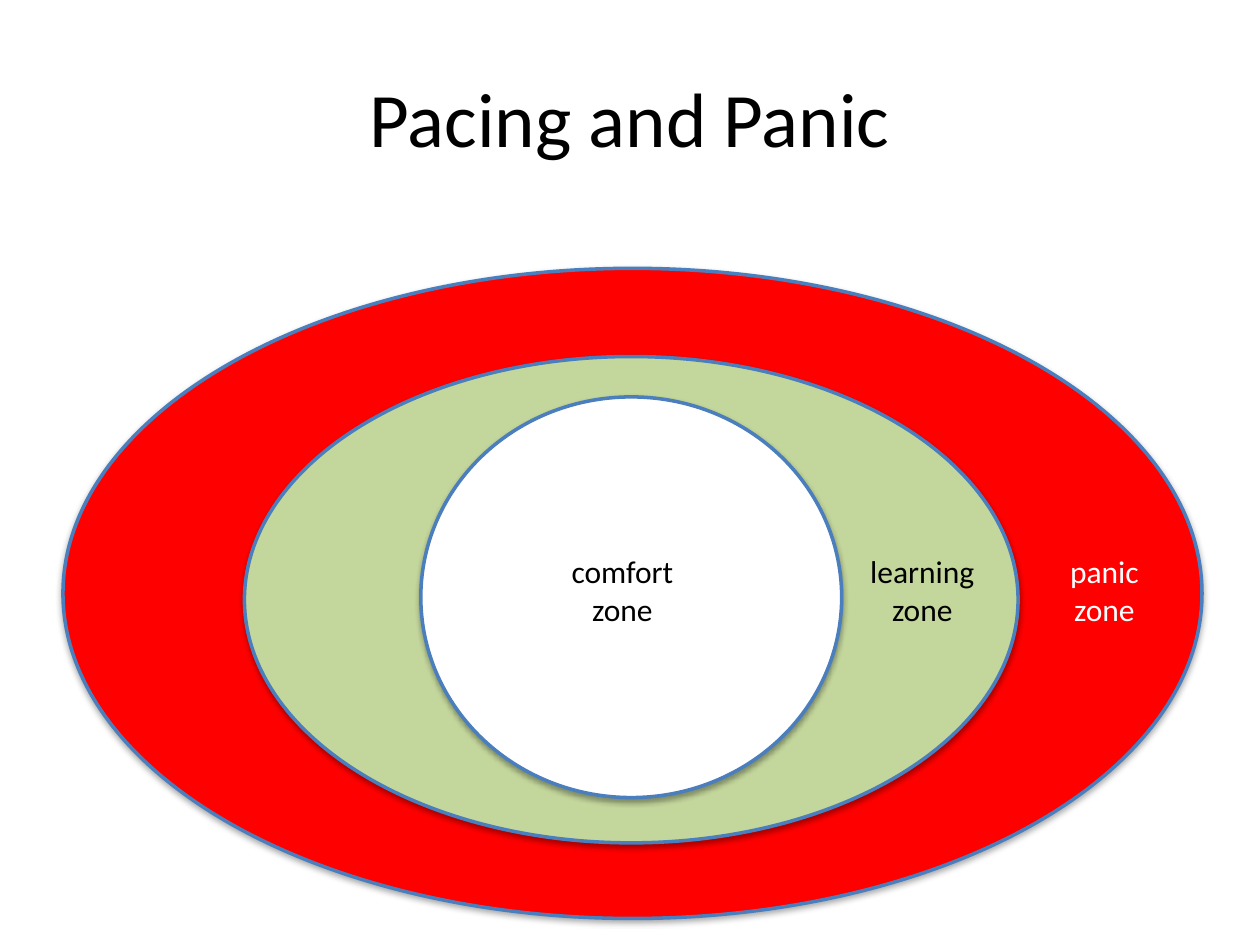
from lxml.etree import SubElement
from pptx import Presentation
from pptx.dml.color import RGBColor
from pptx.enum.shapes import MSO_SHAPE
from pptx.enum.text import MSO_ANCHOR, MSO_AUTO_SIZE, PP_ALIGN
from pptx.oxml.ns import qn
from pptx.util import Inches, Pt

# Content: zones from outer to inner, as (left, top, width, height)
TITLE = "Pacing and Panic"
ZONES = [
    {"name": "panic", "ring": (0.5, 2.13, 9.04, 5.16), "fill": "panic",
     "ink": "light", "left": 8.39, "width": 0.75},
    {"name": "learning", "ring": (1.94, 2.83, 6.14, 3.86), "fill": "learn",
     "ink": "dark", "left": 6.8, "width": 1.04},
    {"name": "comfort", "ring": (3.34, 3.15, 3.34, 3.18), "fill": "light",
     "ink": "dark", "left": 4.41, "width": 1.06},
]
ROW = {"top": 4.33, "height": 0.71}

# Theme
THEME = {
    "font": "Calibri", "title": 44, "label": 18, "line": 2,
    "panic": "FF0000", "learn": "C3D69B", "light": "FFFFFF",
    "dark": "000000", "edge": "4B7EBC",
}
SHADE = {"blurRad": Pt(3.1), "dist": Pt(1.8), "dir": 90 * 60000,
         "rotWithShape": 0}


def color(key):
    return RGBColor.from_string(THEME[key])


def write(frame, lines, size, ink):
    """Fill a text frame with centred lines."""
    frame.text = "\n".join(lines)
    look = {"name": THEME["font"], "size": Pt(THEME[size])}
    for para in frame.paragraphs:
        para.alignment = PP_ALIGN.CENTER
        font = para.runs[0].font
        for key, value in look.items():
            setattr(font, key, value)
        font.color.rgb = color(ink)


def shade(shape):
    """Give a shape a soft shadow that falls straight down."""
    shape.shadow.inherit = False
    effects = shape._element.spPr.find(qn("a:effectLst"))
    drop = SubElement(effects, qn("a:outerShdw"),
                      {key: str(int(value)) for key, value in SHADE.items()})
    tint = SubElement(drop, qn("a:srgbClr"), val=THEME["dark"])
    SubElement(tint, qn("a:alpha"), val="35000")


def draw_ring(slide, zone):
    box = [Inches(n) for n in zone["ring"]]
    ring = slide.shapes.add_shape(MSO_SHAPE.OVAL, *box)
    ring.fill.solid()
    ring.fill.fore_color.rgb = color(zone["fill"])
    ring.line.color.rgb = color("edge")
    ring.line.width = Pt(THEME["line"])
    shade(ring)


def draw_label(slide, zone):
    box = (zone["left"], ROW["top"], zone["width"], ROW["height"])
    frame = slide.shapes.add_textbox(*[Inches(n) for n in box]).text_frame
    write(frame, [zone["name"], "zone"], "label", zone["ink"])
    frame.word_wrap = False
    frame.auto_size = MSO_AUTO_SIZE.SHAPE_TO_FIT_TEXT


def main():
    deck = Presentation()
    deck.slide_width, deck.slide_height = Inches(10), Inches(7.5)
    slide = deck.slides.add_slide(deck.slide_layouts[5])

    # Title
    title = slide.shapes.title
    place = {"left": 0.5, "top": 0.3, "width": 9, "height": 1.25}
    for key, value in place.items():
        setattr(title, key, Inches(value))
    write(title.text_frame, [TITLE], "title", "dark")
    title.text_frame.vertical_anchor = MSO_ANCHOR.MIDDLE

    # Nested zones, then their labels on top
    for draw in (draw_ring, draw_label):
        for zone in ZONES:
            draw(slide, zone)

    deck.save("out.pptx")


if __name__ == "__main__":
    main()
